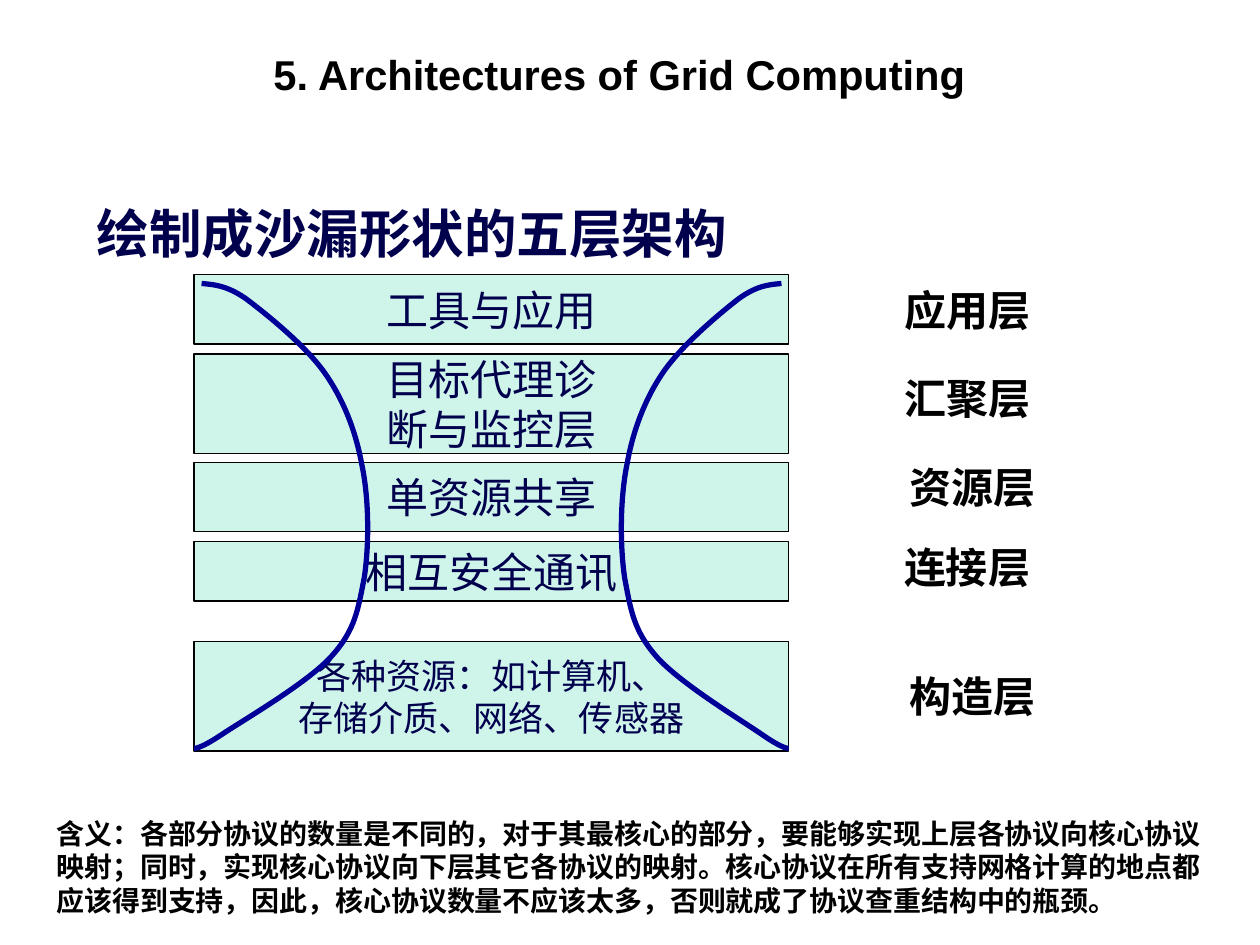
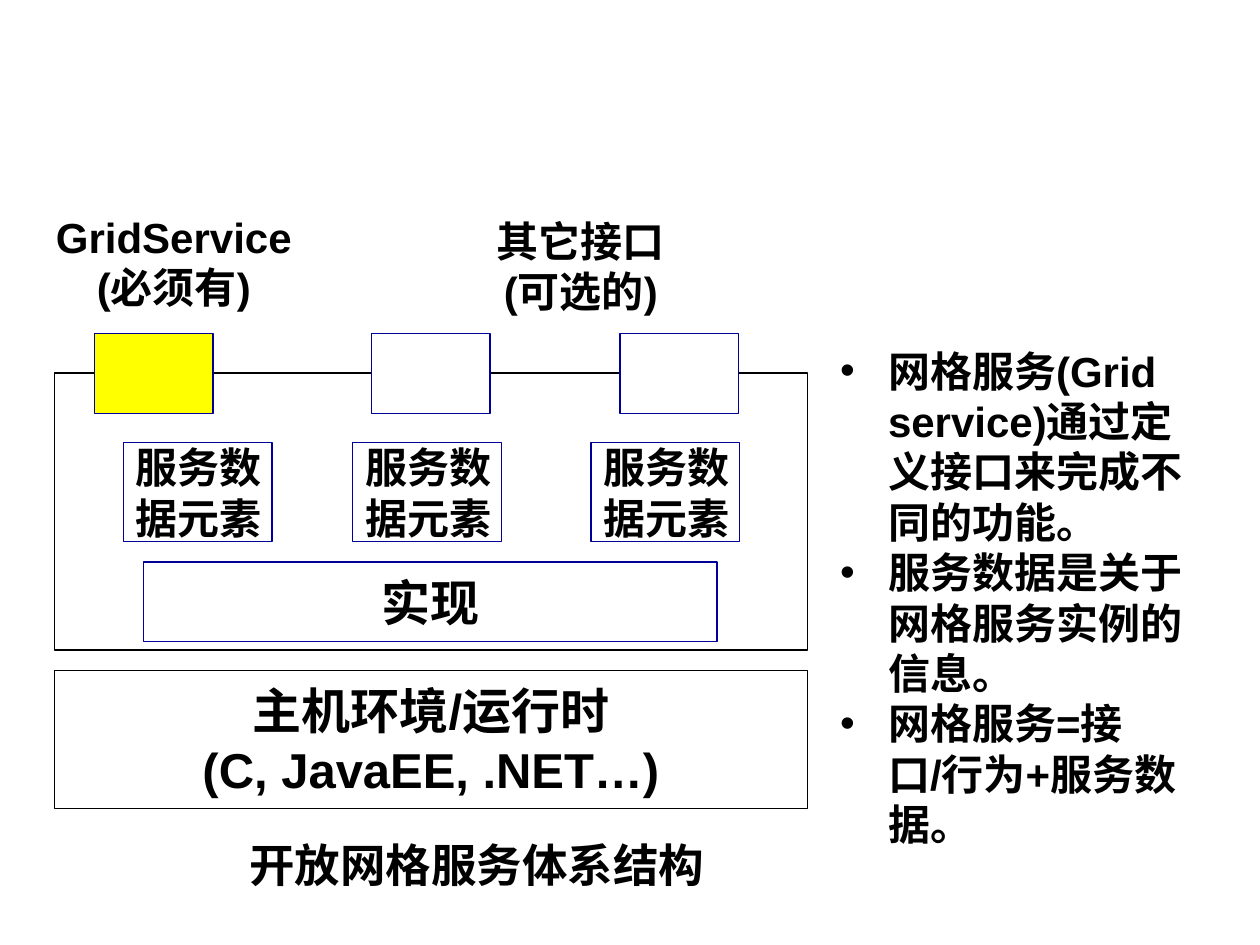
"""Build two slides on grid computing architecture."""
from dataclasses import dataclass
from itertools import chain

from lxml.etree import SubElement
from pptx import Presentation
from pptx.dml.color import RGBColor
from pptx.enum.shapes import MSO_SHAPE
from pptx.enum.text import MSO_ANCHOR, MSO_AUTO_SIZE, PP_ALIGN
from pptx.oxml.ns import qn
from pptx.util import Inches, Pt


@dataclass(frozen=True)
class Theme:
    black: str = "000000"
    white: str = "FFFFFF"
    navy: str = "00004D"
    blue: str = "000099"
    mint: str = "00CC99"
    yellow: str = "FFFF00"
    latin: str = "Arial"
    asian: str = "Noto Sans CJK SC"
    title: float = 23.8
    head: int = 30
    large: int = 28
    cap: int = 26
    body: int = 24
    small: int = 20
    note: int = 16
    thin: float = 0.75
    thick: int = 3
    alpha: int = 19


T = Theme()

TITLE = "5. Architectures of Grid Computing "
HEAD = "绘制成沙漏形状的五层架构"
NOTE = (
    "含义：各部分协议的数量是不同的，对于其最核心的部分，要能够实现上层各协议向核心协议映射；"
    "同时，实现核心协议向下层其它各协议的映射。核心协议在所有支持网格计算的地点都应该得到支持，"
    "因此，核心协议数量不应该太多，否则就成了协议查重结构中的瓶颈。"
)
LAYERS = [
    ("工具与应用", 2.18, 0.55, T.body),
    ("目标代理诊\n断与监控层", 2.81, 0.79, T.body),
    ("单资源共享", 3.67, 0.55, T.body),
    ("相互安全通讯", 4.3, 0.47, T.body),
    ("各种资源：如计算机、\n存储介质、网络、传感器", 5.09, 0.87, T.small),
]
LABELS = [
    ("应用层", 6.5, 2.18, 2.36),
    ("汇聚层", 6.5, 2.88, 2.36),
    ("资源层", 6.89, 3.59, 1.65),
    ("连接层", 6.89, 4.22, 1.57),
    ("构造层", 7.05, 5.25, 1.34),
]
LEFT, WIDE = 1.54, 4.72
START = (1.6, 2.25)
BENDS = [
    ((1.69, 2.26), (1.79, 2.26), (1.95, 2.37)),
    ((2.11, 2.49), (2.41, 2.73), (2.57, 2.95)),
    ((2.72, 3.16), (2.82, 3.41), (2.87, 3.68)),
    ((2.93, 3.96), (2.93, 4.33), (2.89, 4.59)),
    ((2.84, 4.84), (2.82, 5), (2.63, 5.21)),
    ((2.44, 5.42), (1.94, 5.71), (1.76, 5.83)),
    ((1.58, 5.95), (1.54, 5.94), (1.54, 5.94)),
]
SQUEEZE = 1.34 / 1.39

HOST = "主机环境/运行时\n(C, JavaEE, .NET…)"
PORTS = [(0.75, T.yellow), (2.95, T.white), (4.92, T.white)]
DATA = "服务数\n据元素"
DATA_X = [0.98, 2.8, 4.69]
HEADS = [("GridService\n(必须有)", 0.2, 1.63), ("其它接口\n(可选的)", 3.43, 1.66)]
CAPTION = "开放网格服务体系结构"
POINTS = [
    "网格服务(Grid service)通过定义接口来完成不同的功能。",
    "服务数据是关于网格服务实例的信息。",
    "网格服务=接口/行为+服务数据。",
]


def color(code):
    return RGBColor.from_string(code)


def write(shape, text, size, ink=T.black, bold=True, face=T.asian,
          align=PP_ALIGN.CENTER, anchor=MSO_ANCHOR.MIDDLE, wrap=False):
    frame = shape.text_frame
    frame.text = text
    frame.word_wrap = wrap
    frame.auto_size = MSO_AUTO_SIZE.NONE
    frame.vertical_anchor = anchor
    for para in frame.paragraphs:
        para.alignment = align
        for run in para.runs:
            font = run.font
            font.size, font.bold, font.name = Pt(size), bold, face
            font.color.rgb = color(ink)
            east = SubElement(font._element, qn("a:ea"))
            east.set("typeface", T.asian)
    return frame


def stroke(shape, ink, width=T.thin):
    shape.shadow.inherit = False
    shape.line.color.rgb = color(ink)
    shape.line.width = Pt(width)


def rect(slide, at, line, fill=None):
    box = slide.shapes.add_shape(MSO_SHAPE.RECTANGLE, *map(Inches, at))
    stroke(box, line)
    if fill:
        box.fill.solid()
        box.fill.fore_color.rgb = color(fill)
    else:
        box.fill.background()
    return box


def label(slide, at, text, size, **style):
    box = slide.shapes.add_textbox(*map(Inches, at))
    style = {"anchor": MSO_ANCHOR.TOP, "wrap": True, **style}
    return write(box, text, size, **style)


def fade(shape):
    tint = shape.fill._xPr.find(".//" + qn("a:srgbClr"))
    SubElement(tint, qn("a:alpha")).set("val", str(T.alpha * 1000))


def bullet(para):
    props = para._p.get_or_add_pPr()
    props.set("marL", str(Inches(0.38)))
    props.set("indent", str(-Inches(0.38)))
    tint = SubElement(SubElement(props, qn("a:buClr")), qn("a:srgbClr"))
    tint.set("val", T.black)
    SubElement(props, qn("a:buFont")).set("typeface", T.latin)
    SubElement(props, qn("a:buChar")).set("char", "•")


def curve(slide, dots):
    dots = [(Inches(x), Inches(y)) for x, y in dots]
    pen = slide.shapes.build_freeform(*dots[0])
    pen.add_line_segments(dots[1:], close=False)
    line = pen.convert_to_shape()
    legs = list(line._element.iter(qn("a:lnTo")))
    route = legs[0].getparent()
    for first in range(0, len(legs), 3):
        bend = SubElement(route, qn("a:cubicBezTo"))
        for leg in legs[first:first + 3]:
            bend.append(leg[0])
            route.remove(leg)
    line.fill.background()
    stroke(line, T.blue, T.thick)


def hourglass(deck):
    slide = deck.slides.add_slide(deck.slide_layouts[5])
    title = slide.shapes.title
    title.left, title.top, title.width, title.height = map(
        Inches, (1.3, 0.36, 7.32, 0.51))
    frame = write(title, TITLE, T.title, face=T.latin, wrap=True)
    frame.paragraphs[0].line_spacing = 0.9

    for text, top, high, size in LAYERS:
        box = rect(slide, (LEFT, top, WIDE, high), T.black, T.mint)
        fade(box)
        write(box, text, size, T.navy, bold=False)
    for text, left, top, wide in LABELS:
        write(rect(slide, (left, top, wide, 0.55), T.white), text, T.body)

    dots = [START, *chain.from_iterable(BENDS)]
    curve(slide, dots)
    curve(slide, [(LEFT + WIDE - (x - LEFT) * SQUEEZE, y) for x, y in dots])
    label(slide, (0.67, 1.55, 5.35, 0.67), HEAD, T.head, ink=T.navy,
          align=PP_ALIGN.LEFT)
    label(slide, (0.35, 6.43, 9.29, 0.9), NOTE, T.note, align=PP_ALIGN.LEFT)


def service(deck):
    slide = deck.slides.add_slide(deck.slide_layouts[6])
    host = rect(slide, (0.43, 5.32, 5.98, 1.1), T.black)
    write(host, HOST, T.large, face=T.latin)
    rect(slide, (0.43, 2.96, 5.98, 2.2), T.black)
    for left, fill in PORTS:
        rect(slide, (left, 2.65, 0.94, 0.63), T.blue, fill)
    for left in DATA_X:
        box = rect(slide, (left, 3.51, 1.18, 0.79), T.blue, T.white)
        write(box, DATA, T.body, align=PP_ALIGN.LEFT)
    core = rect(slide, (1.14, 4.46, 4.55, 0.63), T.blue, T.white)
    write(core, "实现", T.large)

    for text, left, top in HEADS:
        label(slide, (left, top, 2.36, 0.9), text, T.body, face=T.latin)
    label(slide, (1.88, 6.59, 3.81, 0.54), CAPTION, T.cap, face=T.latin,
          align=PP_ALIGN.LEFT, wrap=False)
    notes = label(slide, (6.57, 2.69, 3.07, 4.1), "\n".join(POINTS), T.body,
                  face=T.latin, align=PP_ALIGN.LEFT)
    for para in notes.paragraphs:
        bullet(para)


def main():
    deck = Presentation()
    deck.slide_width, deck.slide_height = Inches(10), Inches(7.5)
    hourglass(deck)
    service(deck)
    deck.save("out.pptx")


if __name__ == "__main__":
    main()
